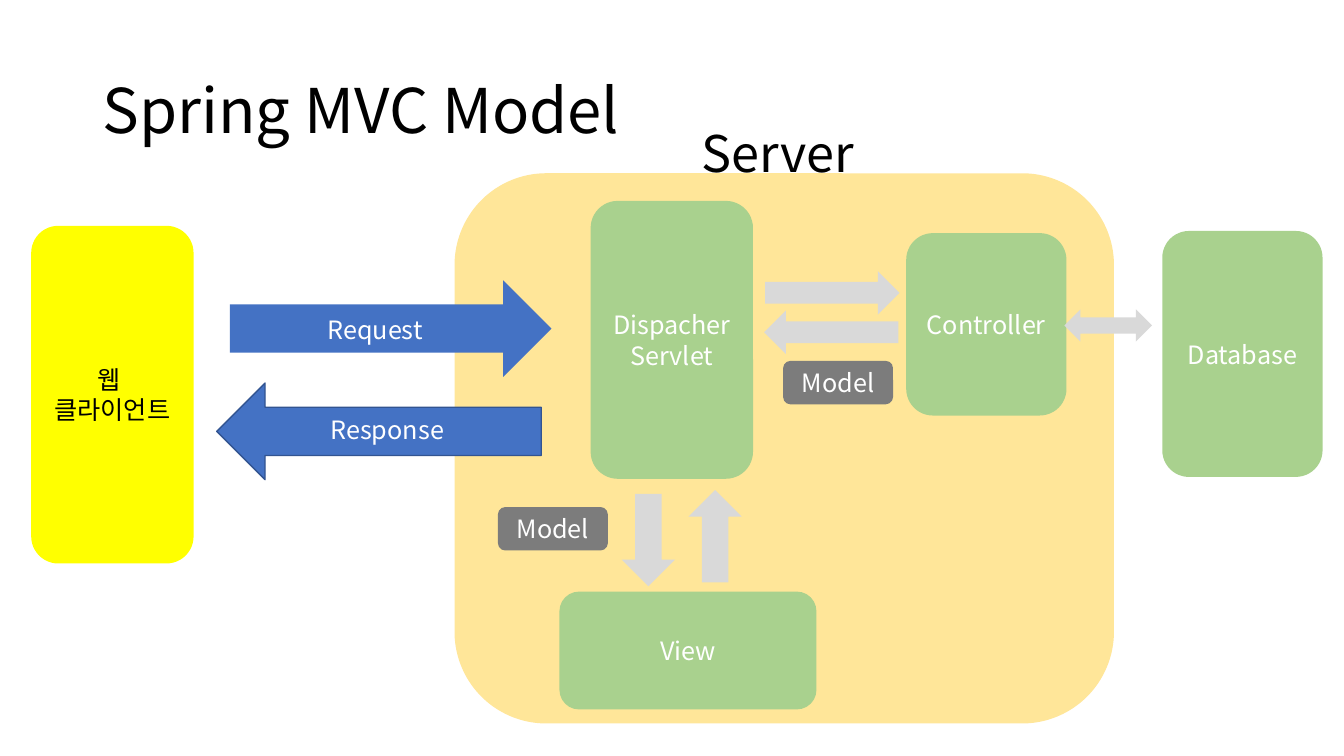
from dataclasses import dataclass

from lxml import etree
from pptx import Presentation
from pptx.dml.color import RGBColor
from pptx.enum import shapes, text
from pptx.oxml import ns
from pptx.util import Pt

KIND = shapes.MSO_SHAPE


@dataclass(frozen=True)
class Theme:
    font: str = "Noto Sans CJK KR"
    head: int = 44
    label: int = 36
    body: int = 18
    black: str = "000000"
    white: str = "FFFFFF"
    sand: str = "FFE699"
    yellow: str = "FFFF00"
    green: str = "A9D18E"
    blue: str = "4472C4"
    navy: str = "325491"
    silver: str = "D9D9D9"
    gray: str = "7C7C7C"


THEME = Theme()


def color(code):
    return RGBColor.from_string(code)


def write(frame, words, size, ink, align):
    """Set the text, then format each run, with the font for Korean too."""
    frame.text = words
    for para in frame.paragraphs:
        para.alignment = align
        for run in para.runs:
            run.font.name = THEME.font
            run.font.size = Pt(size)
            run.font.color.rgb = color(ink)
            east = etree.SubElement(run.font._element, ns.qn("a:ea"))
            east.set("typeface", THEME.font)


def shape(slide, kind, place, fill, edge=None, turn=0):
    item = slide.shapes.add_shape(kind, *map(Pt, place))
    item.shadow.inherit = False
    item.fill.solid()
    item.fill.fore_color.rgb = color(fill)
    if edge:
        item.line.color.rgb = color(edge)
        item.line.width = Pt(1)
    else:
        item.line.fill.background()
    item.rotation = turn
    return item


def box(slide, words, place, fill, ink=THEME.white):
    item = shape(slide, KIND.ROUNDED_RECTANGLE, place, fill)
    item.text_frame.vertical_anchor = text.MSO_ANCHOR.MIDDLE
    write(item.text_frame, words, THEME.body, ink, text.PP_ALIGN.CENTER)


def label(slide, words, place, size, ink):
    frame = slide.shapes.add_textbox(*map(Pt, place)).text_frame
    frame.word_wrap = True
    frame.auto_size = text.MSO_AUTO_SIZE.SHAPE_TO_FIT_TEXT
    write(frame, words, size, ink, text.PP_ALIGN.LEFT)


def title(slide, words, place):
    item = slide.shapes.title
    item.left, item.top, item.width, item.height = map(Pt, place)
    frame = item.text_frame
    frame.vertical_anchor = text.MSO_ANCHOR.MIDDLE
    frame.auto_size = text.MSO_AUTO_SIZE.NONE
    write(frame, words, THEME.head, THEME.black, text.PP_ALIGN.LEFT)
    frame.paragraphs[0].line_spacing = 0.9


def main():
    deck = Presentation()
    deck.slide_width, deck.slide_height = Pt(960), Pt(540)
    slide = deck.slides.add_slide(deck.slide_layouts[5])

    title(slide, "Spring MVC Model", (66, 28.8, 828, 104.4))
    shape(slide, KIND.ROUNDED_RECTANGLE, (324.7, 123.8, 471, 393), THEME.sand)
    label(slide, "Server", (493.9, 83.5, 234, 51), THEME.label, THEME.black)

    box(slide, "웹 \n클라이언트", (22.3, 161.3, 116, 241.2),
        THEME.yellow, THEME.black)
    for words, place in (
        ("Dispacher\nServlet", (421.9, 143.5, 116, 198.5)),
        ("Controller", (647.3, 166.5, 114.5, 130.3)),
        ("View", (399.6, 422.6, 183.6, 84.2)),
        ("Database", (830.2, 165, 114.5, 175.7)),
    ):
        box(slide, words, place, THEME.green)

    right, down = KIND.RIGHT_ARROW, KIND.DOWN_ARROW
    shape(slide, right, (164.2, 200.2, 229.7, 69), THEME.blue)
    shape(slide, right, (154.8, 273.6, 231.8, 69), THEME.blue, THEME.navy, 180)
    label(slide, "Request", (226.8, 221, 90, 29), THEME.body, THEME.white)
    label(slide, "Response", (229, 292.3, 116, 29), THEME.body, THEME.white)

    for kind, place, turn in (
        (right, (546.5, 193.7, 96, 31), 0),
        (right, (545.8, 221.8, 96, 31), 180),
        (down, (444.2, 352.8, 38, 66), 0),
        (down, (491.8, 350, 38, 66), 180),
        (KIND.LEFT_RIGHT_ARROW, (760.3, 221, 62.6, 23), 0),
    ):
        shape(slide, kind, place, THEME.silver, turn=turn)

    for left, top in ((559.4, 257.8), (355.7, 362.2)):
        box(slide, "Model", (left, top, 78.5, 31), THEME.gray)

    deck.save("out.pptx")


if __name__ == "__main__":
    main()
